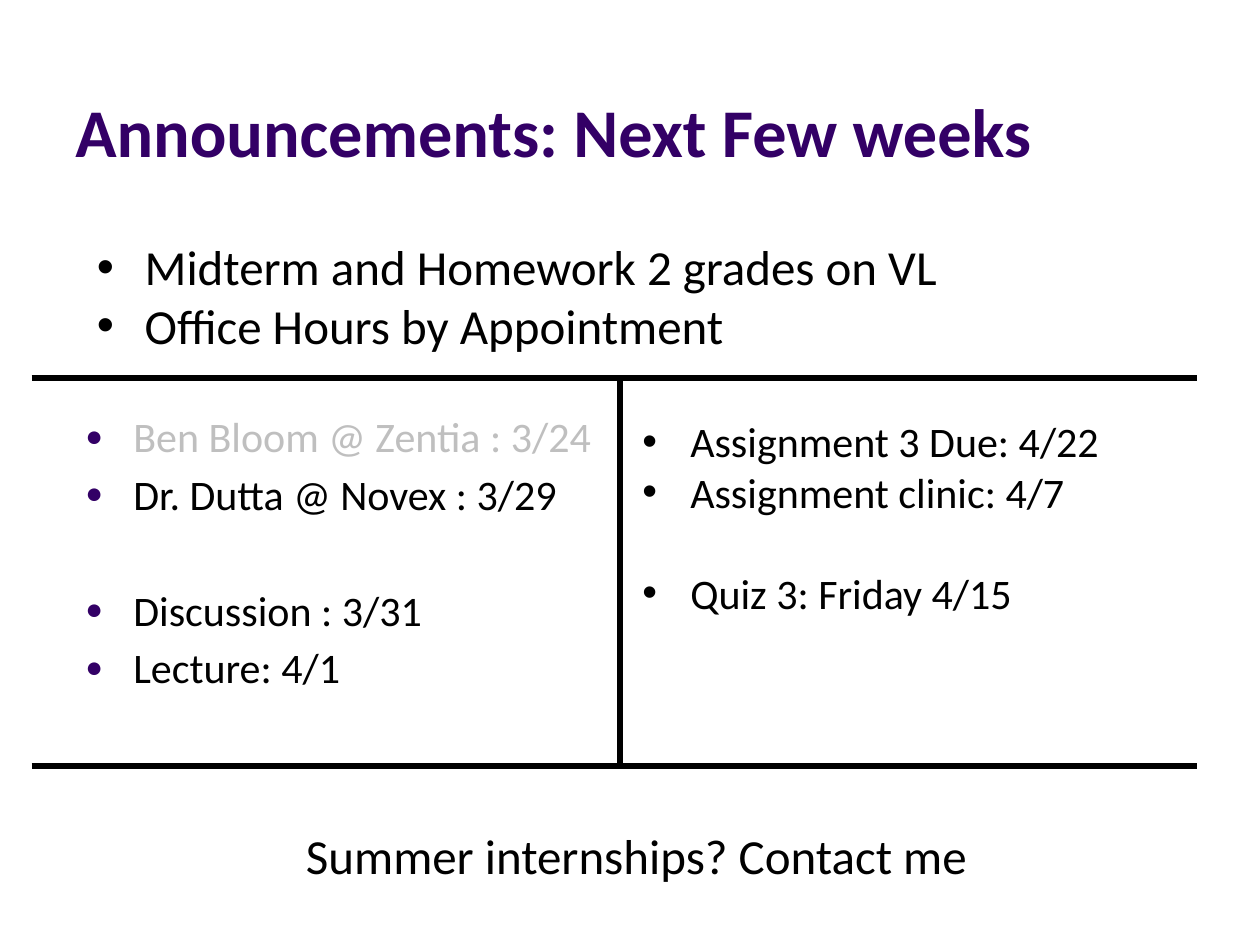
import pptx
import pptx.util
import pptx.dml.color
import pptx.enum.shapes
import pptx.enum.text
import pptx.oxml
import pptx.oxml.ns
import lxml.etree

Inches = pptx.util.Inches
Pt = pptx.util.Pt
RGBColor = pptx.dml.color.RGBColor
qn = pptx.oxml.ns.qn

PURPLE = RGBColor(0x33, 0x00, 0x66)
GREY = RGBColor(0xBF, 0xBF, 0xBF)
BLACK = RGBColor(0, 0, 0)

deck = pptx.Presentation()
deck.slide_width, deck.slide_height = Inches(10), Inches(7.5)
page = deck.slides.add_slide(deck.slide_layouts[6])


def add_bullet(para, char, color=None, percent=None):
    props = para._p.get_or_add_pPr()
    props.set("marL", str(Inches(0.38)))
    props.set("indent", str(-Inches(0.38)))
    if color is not None:
        holder = lxml.etree.SubElement(props, qn("a:buClr"))
        lxml.etree.SubElement(holder, qn("a:srgbClr"), val=str(color))
    if percent is not None:
        lxml.etree.SubElement(props, qn("a:buSzPct"), val=str(percent * 1000))
    lxml.etree.SubElement(props, qn("a:buFont"), typeface="Arial")
    lxml.etree.SubElement(props, qn("a:buChar"), char=char)


def add_text(place, lines, font, bullet=None, frame_format=None):
    box = page.shapes.add_textbox(*map(Inches, place))
    frame = box.text_frame
    for name, value in {"word_wrap": True, **(frame_format or {})}.items():
        setattr(frame, name, value)
    for index, (text, gap, color) in enumerate(lines):
        para = frame.paragraphs[0] if index == 0 else frame.add_paragraph()
        para.space_before = Pt(gap)
        if bullet:
            add_bullet(para, *bullet)
        span = para.add_run()
        span.text = text
        span.font.color.rgb = color
        for name, value in {"name": "Calibri", **font}.items():
            setattr(span.font, name, value)


add_text((0.5, 0.13, 9, 1.28), [("Announcements: Next Few weeks", 0, PURPLE)],
         {"size": Pt(39), "bold": True},
         frame_format={"vertical_anchor": pptx.enum.text.MSO_ANCHOR.BOTTOM})

add_text((0.58, 2.75, 4.42, 3.95), [
    ("Ben Bloom @ Zentia : 3/24", 0, GREY),
    ("Dr. Dutta @ Novex : 3/29", 4.1, BLACK),
    ("Discussion : 3/31", 37.5, BLACK),
    ("Lecture: 4/1", 4.1, BLACK),
], {"size": Pt(24)}, ("●", PURPLE, 70), {"margin_top": Inches(0.51)})

add_text((5, 3.25, 4.82, 2.12), [
    ("Assignment 3 Due: 4/22", 0, BLACK),
    ("Assignment clinic: 4/7", 0, BLACK),
    ("Quiz 3: Friday 4/15", 29, BLACK),
], {"size": Pt(24)}, ("•",))

add_text((0.67, 1.83, 6.98, 1.04), [
    ("Midterm and Homework 2 grades on VL", 0, BLACK),
    ("Office Hours by Appointment", 0, BLACK),
], {"size": Pt(28)}, ("•",))

LEFT, RIGHT, MIDDLE, TOP, BOTTOM = 0.25, 9.5, 4.92, 3, 6.08
for ends in [(LEFT, TOP, RIGHT, TOP), (MIDDLE, BOTTOM, MIDDLE, TOP),
             (LEFT, BOTTOM, RIGHT, BOTTOM)]:
    rule = page.shapes.add_connector(
        pptx.enum.shapes.MSO_CONNECTOR.STRAIGHT, *map(Inches, ends))
    rule.line.color.rgb = BLACK
    rule.line.width = Pt(3)
    lxml.etree.SubElement(rule._element.spPr, qn("a:effectLst"))

add_text((2.33, 6.5, 5.52, 0.57), [("Summer internships? Contact me", 0, BLACK)],
         {"size": Pt(28)})

deck.save("out.pptx")
